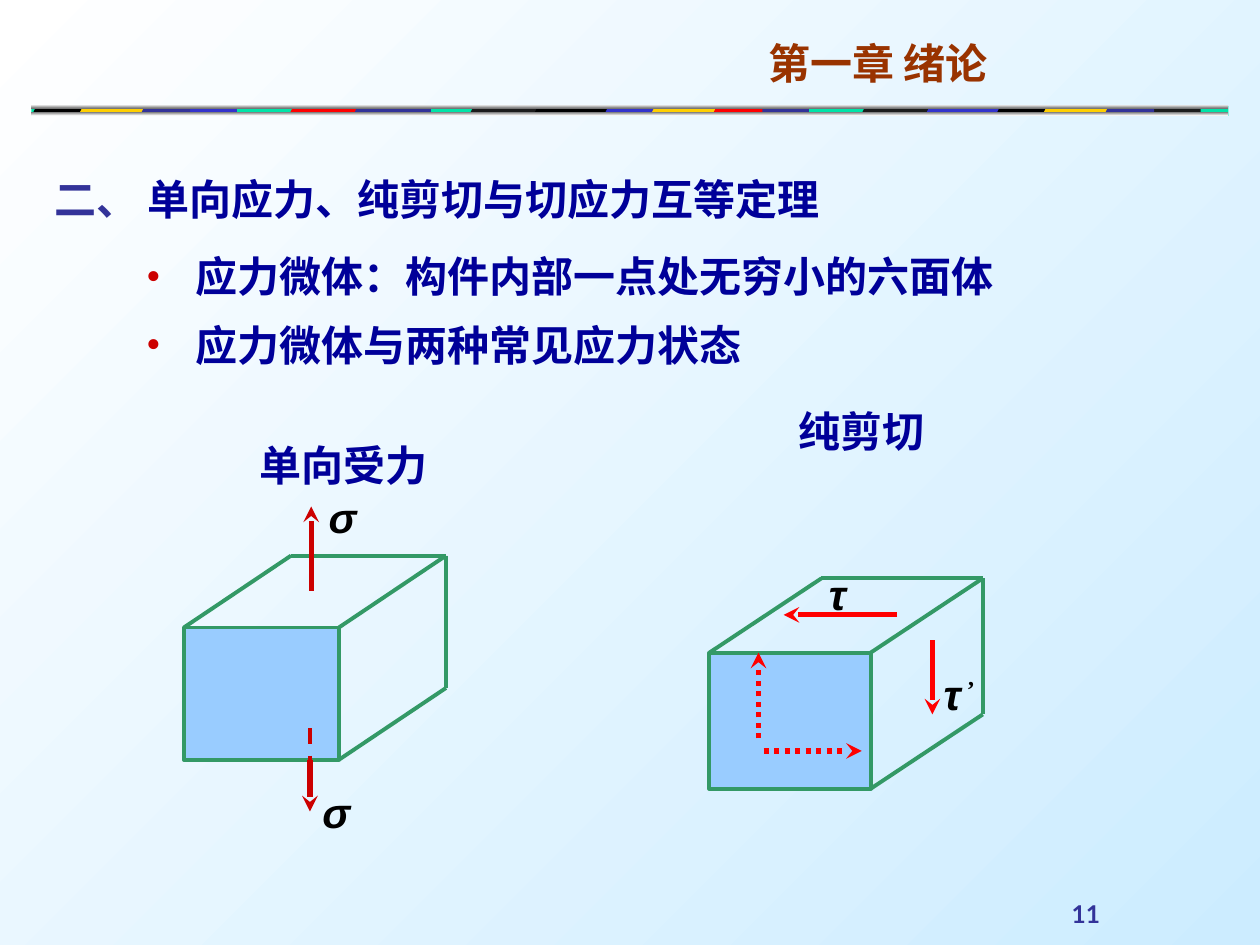
import pptx
import pptx.dml.color
import pptx.enum.dml
import pptx.enum.shapes
import pptx.enum.text
import pptx.oxml.ns
import pptx.util
from lxml import etree

Inches = pptx.util.Inches
Pt = pptx.util.Pt
DASH = pptx.enum.dml.MSO_LINE
ANCHOR = pptx.enum.text.MSO_ANCHOR
ALIGN = pptx.enum.text.PP_ALIGN
SHAPE = pptx.enum.shapes.MSO_SHAPE

COLOURS = {
    "navy": "000099", "indigo": "333399", "blue": "3333CC", "teal": "00E4A8",
    "charcoal": "1C1C1C", "black": "000000", "yellow": "FFCF01", "red": "FF0000",
    "crimson": "CC0000", "brown": "993300", "green": "339966", "face": "99CCFF",
    "sky": "CCECFF", "white": "FFFFFF", "grey": "767676",
}
HAN = "Noto Sans CJK SC"
SERIF = "Times New Roman"


def rgb(name):
    """Return the named colour."""
    return pptx.dml.color.RGBColor.from_string(COLOURS[name])


def add_child(parent, tag, **attributes):
    """Append a drawing element with the given attributes."""
    return etree.SubElement(parent, pptx.oxml.ns.qn(tag), attributes)


def set_gradient(fill, start, end, angle):
    """Give a fill two gradient stops at an anticlockwise angle."""
    fill.gradient()
    fill.gradient_angle = angle
    for stop, name in zip(fill.gradient_stops, (start, end)):
        stop.color.rgb = rgb(name)


def add_span(para, text, colour, font, size=24, italic=False):
    """Add one bold run of text."""
    span = para.add_run()
    span.text = text
    span.font.size = Pt(size)
    span.font.bold = True
    span.font.italic = italic
    span.font.name = font
    span.font.color.rgb = rgb(colour)
    add_child(span.font._element, "a:ea", typeface=HAN)
    return span


def place_frame(box, left, top, width, height, anchor=ANCHOR.TOP):
    """Position a text-bearing box and return its text frame."""
    box.left, box.top = Inches(left), Inches(top)
    box.width, box.height = Inches(width), Inches(height)
    frame = box.text_frame
    frame.word_wrap = True
    frame.auto_size = pptx.enum.text.MSO_AUTO_SIZE.NONE
    frame.vertical_anchor = anchor
    return frame


def add_label(page, left, top, width, text, colour, font, size=24,
              italic=False, align=ALIGN.LEFT, anchor=ANCHOR.TOP):
    """Add a one-line text box and return its paragraph."""
    box = page.shapes.add_textbox(0, 0, 0, 0)
    para = place_frame(box, left, top, width, 0.5, anchor).paragraphs[0]
    para.alignment = align
    add_span(para, text, colour, font, size, italic)
    return para


def add_block(page, left, top, width, height):
    """Add a plain rectangle without a shadow."""
    block = page.shapes.add_shape(SHAPE.RECTANGLE, Inches(left), Inches(top),
                                  Inches(width), Inches(height))
    block.shadow.inherit = False
    return block


def add_line(page, start, end, colour, weight=2.25, dash=None, arrow=False):
    """Draw a straight line, with an optional arrowhead at its end."""
    line = page.shapes.add_connector(pptx.enum.shapes.MSO_CONNECTOR.STRAIGHT,
                                     *map(Inches, start + end))
    line.line.color.rgb = rgb(colour)
    line.line.width = Pt(weight)
    if dash:
        line.line.dash_style = dash
    if arrow:
        add_child(line.line._get_or_add_ln(), "a:tailEnd", type="stealth")
    add_child(line._element.spPr, "a:effectLst")


def add_segment(page, left, right, top, height, colour):
    """Draw one slanted piece of the ribbon."""
    bottom, slant = top + height, 0.04
    outline = page.shapes.build_freeform(Inches(left + slant), Inches(top))
    outline.add_line_segments([(Inches(x), Inches(y)) for x, y in
                               ((right, top), (right, bottom), (left, bottom))])
    piece = outline.convert_to_shape()
    piece.shadow.inherit = False
    piece.fill.solid()
    piece.fill.fore_color.rgb = rgb(colour)
    piece.line.fill.background()


def build_ribbon(page, left, top, width, height):
    """Build the coloured header ribbon with its shaded edges."""
    base = add_block(page, left, top, width, height)
    base.fill.solid()
    base.fill.fore_color.rgb = rgb("teal")
    base.line.fill.background()
    long_pieces = [(3.47, 4.04), (3.98, 4.6)]
    short_pieces = [(5.77, 6.17), (4.54, 5.02), (4.91, 5.44), (5.4, 5.8)]
    clusters = [
        (3.11, 3.11, "charcoal blue charcoal black yellow indigo"),
        (0, 0, "charcoal black indigo blue yellow red"),
        (-1.43, -4.54, "red indigo blue black yellow indigo"),
    ]
    for long_shift, short_shift, names in clusters:
        spans = [(a + long_shift, b + long_shift) for a, b in long_pieces]
        spans += [(a + short_shift, b + short_shift) for a, b in short_pieces]
        for (start, end), name in zip(spans, names.split()):
            add_segment(page, left + start, left + end, top, height, name)
    for edge, start, end in ((top - 0.01, "white", "grey"),
                             (top + 0.05, "grey", "white")):
        shade = add_block(page, left, edge, width, 0.03)
        set_gradient(shade.fill, start, end, 270)
        shade.line.fill.background()


def build_heading(page, left, top, width, height):
    """Fill the title placeholder with the section heading."""
    para = place_frame(page.shapes.title, left, top, width, height).paragraphs[0]
    para.alignment = ALIGN.LEFT
    add_span(para, "二、 ", "indigo", HAN)
    add_span(para, "单向应力、纯剪切与切应力互等定理", "navy", HAN)


def build_points(page, left, top, width, height):
    """Fill the body placeholder with the bulleted points."""
    frame = place_frame(page.placeholders[1], left, top, width, height)
    points = ["应力微体：构件内部一点处无穷小的六面体", "应力微体与两种常见应力状态"]
    for index, text in enumerate(points):
        para = frame.add_paragraph() if index else frame.paragraphs[0]
        properties = para._p.get_or_add_pPr()
        properties.set("marL", str(Inches(0.39)))
        properties.set("indent", str(-Inches(0.39)))
        colour = add_child(properties, "a:buClr")
        add_child(colour, "a:srgbClr", val=COLOURS["crimson"])
        add_child(properties, "a:buFont", typeface=SERIF)
        add_child(properties, "a:buChar", char="•")
        para.space_before = Pt(10.5 if index else 0)
        para.font.size = Pt(24)
        add_span(para, text, "navy", SERIF)


def build_prism(page, left, top, width, height, run, rise):
    """Draw a filled front face with the receding edges of a solid."""
    front = add_block(page, left, top, width, height)
    front.fill.solid()
    front.fill.fore_color.rgb = rgb("face")
    front.line.color.rgb = rgb("green")
    front.line.width = Pt(2.25)
    right, bottom = left + width, top + height
    back_left = (left + run, top - rise)
    back_right = (right + run, top - rise)
    back_bottom = (right + run, bottom - rise)
    for start, end in (((left, top), back_left), ((right, top), back_right),
                       (back_left, back_right), ((right, bottom), back_bottom),
                       (back_right, back_bottom)):
        add_line(page, start, end, "green")


def build_uniaxial(page, left, top):
    """Build the uniaxial stress element from its front top-left corner."""
    add_label(page, left + 0.5, top - 1.54, 1.67, "单向受力", "navy", SERIF)
    build_prism(page, left, top, 1.23, 1.05, 0.85, 0.57)
    axis = left + 1
    add_line(page, (axis + 0.01, top - 0.29), (axis + 0.01, top - 0.96), "crimson", 3, arrow=True)
    add_line(page, (axis, top + 1.05), (axis, top + 1.46), "crimson", 3, arrow=True)
    add_line(page, (axis, top + 0.8), (axis, top + 1.09), "crimson", dash=DASH.DASH)
    for x, y in ((axis + 0.05, top - 1.13), (axis, top + 1.21)):
        add_label(page, x, y, 0.42, "σ", "black", "Arial", italic=True)


def build_shear(page, left, top):
    """Build the pure shear element from its front top-left corner."""
    add_label(page, left + 0.61, top - 2.01, 1.25, "纯剪切", "navy", SERIF)
    build_prism(page, left, top, 1.28, 1.08, 0.89, 0.59)
    arrows = [((1.49, -0.3), (0.59, -0.3), None), ((1.77, -0.1), (1.77, 0.49), None),
              ((0.39, 0.68), (0.39, 0), DASH.ROUND_DOT),
              ((0.43, 0.78), (1.21, 0.78), DASH.ROUND_DOT)]
    for (x1, y1), (x2, y2), dash in arrows:
        add_line(page, (left + x1, top + y1), (left + x2, top + y2), "red", 3, dash, True)
    add_label(page, left + 0.85, top - 0.72, 0.58, "τ", "black", "Arial", italic=True)
    para = add_label(page, left + 1.76, top + 0.08, 0.68, "τ", "black", "Arial", italic=True)
    prime = add_span(para, " ’", "black", SERIF)
    prime.font._element.set("baseline", "30000")


def main():
    """Assemble and save the deck."""
    deck = pptx.Presentation()
    deck.slide_width, deck.slide_height = Inches(10), Inches(7.5)
    page = deck.slides.add_slide(deck.slide_layouts[1])
    set_gradient(page.background.fill, "sky", "white", 135)
    build_ribbon(page, 0.25, 0.84, 9.5, 0.08)
    add_label(page, 6, 0.25, 3.25, "第一章 绪论", "brown", HAN)
    build_heading(page, 0.33, 1.33, 6.6, 0.5)
    build_points(page, 1.06, 1.94, 8.03, 1.13)
    build_uniaxial(page, 1.46, 4.98)
    build_shear(page, 5.63, 5.18)
    add_label(page, 6.75, 6.92, 2.08, "11", "indigo", "Lato", 14,
              align=ALIGN.RIGHT, anchor=ANCHOR.BOTTOM)
    deck.save("out.pptx")


if __name__ == "__main__":
    main()
